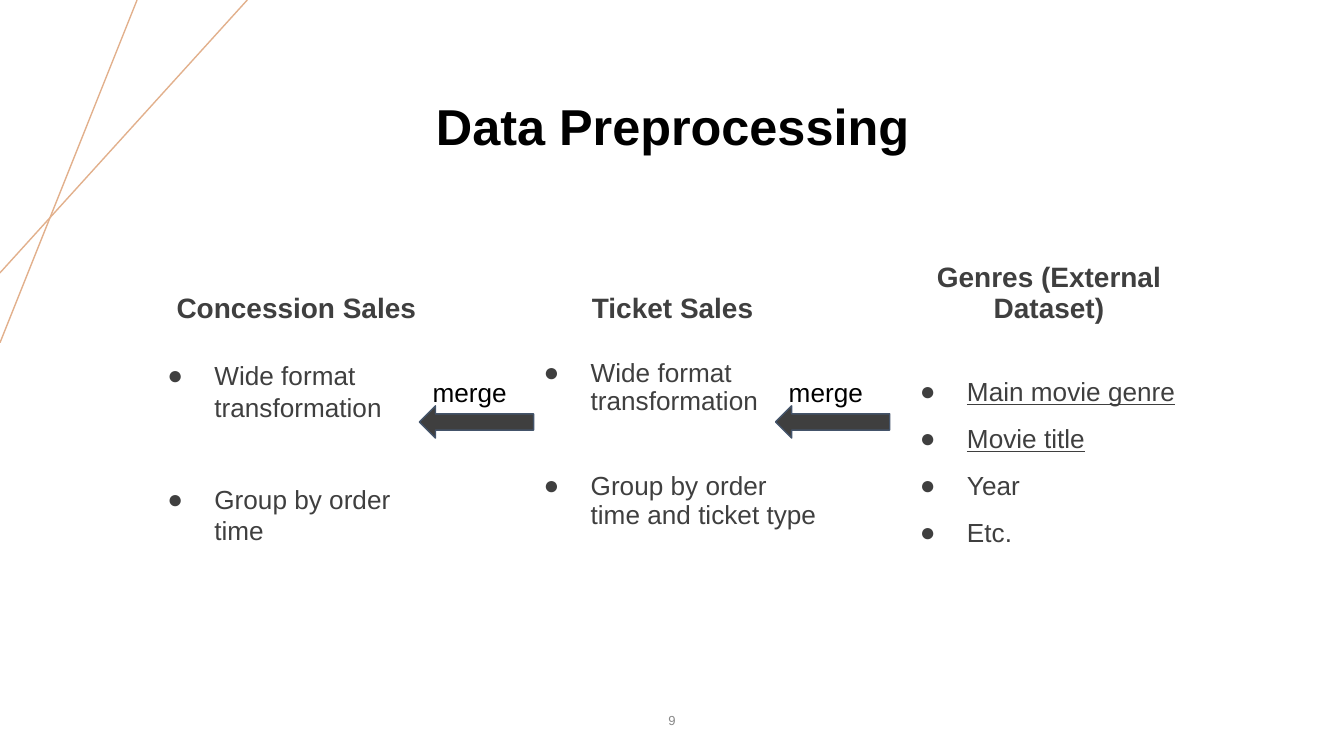
from dataclasses import dataclass

from lxml.etree import SubElement
from pptx import Presentation
from pptx.dml.color import RGBColor
from pptx.enum.shapes import MSO_CONNECTOR, MSO_SHAPE
from pptx.enum.text import MSO_ANCHOR, PP_ALIGN
from pptx.oxml.ns import qn
from pptx.shapes.base import BaseShape
from pptx.slide import Slide
from pptx.text.text import TextFrame, _Paragraph
from pptx.util import Inches, Pt


@dataclass(frozen=True)
class Theme:
    font: str = "Arial"
    title: str = "000000"
    body: str = "3F3F3F"
    accent: str = "E2B08C"
    outline: str = "44546A"
    muted: str = "888888"
    title_size: int = 27
    heading_size: int = 15
    body_size: int = 14
    number_size: int = 7
    line_width: float = 0.75


@dataclass(frozen=True)
class Grid:
    left: float = 1.02
    step: float = 2.8
    width: float = 2.37
    heading_top: float = 1.77
    heading_height: float = 0.68
    list_top: float = 2.64
    list_height: float = 1.64
    arrow_left: float = 3.12
    arrow_step: float = 2.65
    arrow_width: float = 0.85

    def column(self, index: int) -> float:
        return self.left + index * self.step


@dataclass(frozen=True)
class Column:
    heading: str
    items: tuple[str, ...]
    line_spacing: float
    gap: float
    underlined: int = 0


THEME = Theme()
GRID = Grid()
SLIDE_WIDTH = 10
SLIDE_HEIGHT = SLIDE_WIDTH * 9 / 16
COLUMNS = (
    Column("Concession Sales", ("Wide format transformation", "Group by order time"), 1.0, 32.5),
    Column("Ticket Sales", ("Wide format transformation", "Group by order time and ticket type"), 0.9, 30.5),
    Column("Genres (External Dataset)", ("Main movie genre", "Movie title", "Year", "Etc."), 1.5, 0, 2),
)
ACCENT_LINES = ((1.02, 2.55), (1.84, 2.03))


def set_values(target: object, values: dict) -> None:
    for name, value in values.items():
        setattr(target, name, value)


def place(shape: BaseShape, left: float, top: float, width: float, height: float) -> None:
    values = {"left": left, "top": top, "width": width, "height": height}
    set_values(shape, {name: Inches(value) for name, value in values.items()})


def set_frame(frame: TextFrame, anchor: MSO_ANCHOR, across: float = 5.4, down: float = 2.7) -> None:
    set_values(frame, {
        "word_wrap": True, "vertical_anchor": anchor,
        "margin_left": Pt(across), "margin_right": Pt(across),
        "margin_top": Pt(down), "margin_bottom": Pt(down),
    })


def write(para: _Paragraph, text: str, size: float, color: str, **values: object) -> None:
    span = para.add_run()
    span.text = text
    set_values(span.font, {"name": THEME.font, "size": Pt(size), **values})
    span.font.color.rgb = RGBColor.from_string(color)


def add_box(page: Slide, place_at: tuple, anchor: MSO_ANCHOR, across: float = 5.4, down: float = 2.7) -> TextFrame:
    box = page.shapes.add_textbox(*map(Inches, place_at))
    set_frame(box.text_frame, anchor, across, down)
    return box.text_frame


def add_bullet(para: _Paragraph) -> None:
    properties = para._p.get_or_add_pPr()
    properties.set("marL", str(Inches(0.5)))
    properties.set("indent", str(Inches(-0.35)))
    color = SubElement(properties, qn("a:buClr"))
    SubElement(color, qn("a:srgbClr")).set("val", THEME.body)
    SubElement(properties, qn("a:buFont")).set("typeface", THEME.font)
    SubElement(properties, qn("a:buChar")).set("char", "●")


def add_accent_line(page: Slide, across: float, down: float) -> None:
    line = page.shapes.add_connector(MSO_CONNECTOR.STRAIGHT, Inches(across), 0, 0, Inches(down))
    line.line.color.rgb = RGBColor.from_string(THEME.accent)
    line.line.width = Pt(THEME.line_width)
    SubElement(line._element.spPr, qn("a:effectLst"))


def add_title(page: Slide, text: str) -> None:
    title = page.shapes.title
    place(title, 1.55, 0.39, 6.91, 1.09)
    set_frame(title.text_frame, MSO_ANCHOR.MIDDLE)
    para = title.text_frame.paragraphs[0]
    para.alignment = PP_ALIGN.CENTER
    write(para, text, THEME.title_size, THEME.title, bold=True)


def add_column(page: Slide, index: int, column: Column) -> None:
    left = GRID.column(index)
    heading = add_box(page, (left, GRID.heading_top, GRID.width, GRID.heading_height), MSO_ANCHOR.BOTTOM)
    para = heading.paragraphs[0]
    set_values(para, {"alignment": PP_ALIGN.CENTER, "line_spacing": 0.9, "space_before": Pt(8)})
    write(para, column.heading, THEME.heading_size, THEME.body, bold=True)

    listing = add_box(page, (left, GRID.list_top, GRID.width, GRID.list_height), MSO_ANCHOR.TOP)
    for row, item in enumerate(column.items):
        para = listing.add_paragraph() if row else listing.paragraphs[0]
        set_values(para, {
            "line_spacing": column.line_spacing,
            "space_before": Pt(column.gap if row else 8),
        })
        add_bullet(para)
        write(para, item, THEME.body_size, THEME.body, underline=row < column.underlined)


def add_merge(page: Slide, index: int) -> None:
    left = GRID.arrow_left + index * GRID.arrow_step
    arrow = page.shapes.add_shape(MSO_SHAPE.RIGHT_ARROW, *map(Inches, (left, 3.02, GRID.arrow_width, 0.24)))
    arrow.rotation = 180
    arrow.shadow.inherit = False
    arrow.fill.solid()
    arrow.fill.fore_color.rgb = RGBColor.from_string(THEME.body)
    arrow.line.color.rgb = RGBColor.from_string(THEME.outline)
    arrow.line.width = Pt(THEME.line_width)
    label = add_box(page, (left, 2.7, GRID.arrow_width, 0.44), MSO_ANCHOR.TOP, 7.2, 7.2)
    write(label.paragraphs[0], "merge", THEME.body_size, THEME.title)


def add_page_number(page: Slide, number: str) -> None:
    para = add_box(page, (3.31, 5.21, 3.38, 0.3), MSO_ANCHOR.MIDDLE).paragraphs[0]
    para.alignment = PP_ALIGN.CENTER
    write(para, number, THEME.number_size, THEME.muted)


def main() -> None:
    deck = Presentation()
    deck.slide_width, deck.slide_height = map(Inches, (SLIDE_WIDTH, SLIDE_HEIGHT))
    page = deck.slides.add_slide(deck.slide_layouts.get_by_name("Title Only"))
    for across, down in ACCENT_LINES:
        add_accent_line(page, across, down)
    add_title(page, "Data Preprocessing")
    for index, column in enumerate(COLUMNS):
        add_column(page, index, column)
    for index in range(len(COLUMNS) - 1):
        add_merge(page, index)
    add_page_number(page, "9")
    deck.save("out.pptx")


if __name__ == "__main__":
    main()
